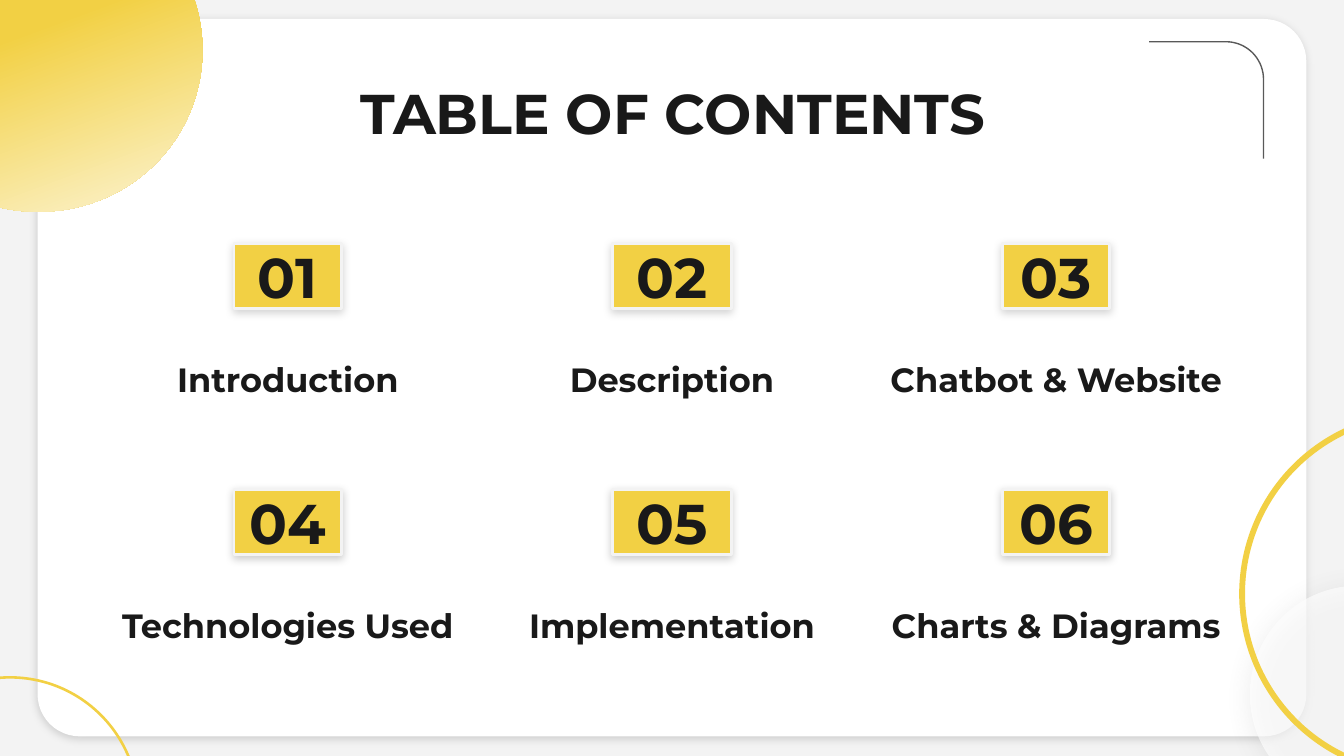
from dataclasses import dataclass
from math import cos, radians, sin

from lxml.etree import SubElement
from pptx import Presentation
from pptx.dml.color import RGBColor
from pptx.enum.shapes import MSO_SHAPE
from pptx.enum.text import MSO_ANCHOR, MSO_AUTO_SIZE, PP_ALIGN
from pptx.oxml.ns import qn
from pptx.util import Cm, Pt


@dataclass(frozen=True)
class Theme:
    font: str = "Montserrat"
    ink: RGBColor = RGBColor(0x19, 0x19, 0x19)
    yellow: RGBColor = RGBColor(0xF2, 0xD0, 0x44)
    white: RGBColor = RGBColor(0xFF, 0xFF, 0xFF)
    backdrop: RGBColor = RGBColor(0xF3, 0xF3, 0xF3)
    grey: RGBColor = RGBColor(0x59, 0x59, 0x59)
    black: RGBColor = RGBColor(0, 0, 0)
    heading: Pt = Pt(30)
    label: Pt = Pt(18)


THEME = Theme()
TOPICS = ["Introduction", "Description", "Chatbot & Website",
          "Technologies Used", "Implementation", "Charts & Diagrams"]
BADGE_WIDTHS = [2.03, 2.24, 2.03]


def box(x, y, w, h):
    return Cm(x), Cm(y), Cm(w), Cm(h)


def add_shape(s, kind, bounds, fill=None, adj=None):
    sp = s.shapes.add_shape(kind, *box(*bounds))
    sp.shadow.inherit = False
    sp.line.fill.background()
    if fill is not None:
        sp.fill.solid()
        sp.fill.fore_color.rgb = fill
    if adj is not None:
        sp.adjustments[0] = adj
    return sp


def set_alpha(color, percent):
    SubElement(color, qn("a:alpha"), val=str(percent * 1000))


def add_shadow(sp, color=THEME.black, alpha=17, blur=4.5, dist=1.5, angle=90):
    effects = sp.element.spPr.find(qn("a:effectLst"))
    shadow = SubElement(effects, qn("a:outerShdw"), blurRad=str(Pt(blur)),
                        dist=str(Pt(dist)), dir=str(angle * 60000),
                        algn="bl", rotWithShape="0")
    set_alpha(SubElement(shadow, qn("a:srgbClr"), val=str(color)), alpha)


def set_text(sp, text, size, anchor):
    tf = sp.text_frame
    tf.text = text
    tf.word_wrap = True
    tf.auto_size = MSO_AUTO_SIZE.NONE
    tf.vertical_anchor = anchor
    tf.margin_left = tf.margin_right = Cm(0.25)
    tf.margin_top = tf.margin_bottom = Cm(0.25)
    p = tf.paragraphs[0]
    p.alignment = PP_ALIGN.CENTER
    font = p.runs[0].font
    font.name, font.size, font.bold = THEME.font, size, True
    font.color.rgb = THEME.ink


def add_backdrop(s):
    s.background.fill.solid()
    s.background.fill.fore_color.rgb = THEME.backdrop
    card = add_shape(s, MSO_SHAPE.ROUNDED_RECTANGLE,
                     (0.71, 0.36, 23.98, 13.56), THEME.white, 0.059)
    add_shadow(card)
    disc = add_shape(s, MSO_SHAPE.OVAL, (23.62, 11.07, 4.11, 4.11), THEME.white)
    set_alpha(disc.element.spPr.find(".//" + qn("a:srgbClr")), 62)
    add_shadow(disc, THEME.grey, 19, 14.6, 2.2, 74)
    for x, y, size, ring in [(23.42, 7.77, 6.91, 0.016), (-2.26, 12.78, 4.9, 0.01)]:
        add_shape(s, MSO_SHAPE.DONUT, (x, y, size, size), THEME.yellow, ring)


def add_corner_line(s):
    left, top, right, bottom, radius = 21.72, 0.79, 23.88, 3, 0.71
    arc = [(right - radius + radius * cos(radians(a)),
            top + radius - radius * sin(radians(a))) for a in range(90, -1, -5)]
    builder = s.shapes.build_freeform(Cm(left), Cm(top))
    builder.add_line_segments([(Cm(x), Cm(y)) for x, y in arc + [(right, bottom)]],
                              close=False)
    sp = builder.convert_to_shape()
    sp.shadow.inherit = False
    sp.fill.background()
    sp.line.color.rgb = THEME.grey
    sp.line.width = Pt(0.75)


def add_title(s, text):
    sp = s.shapes.title
    s.shapes.element.append(sp.element)
    sp.left, sp.top, sp.width, sp.height = box(2.01, 1.24, 21.41, 1.6)
    set_text(sp, text, THEME.heading, MSO_ANCHOR.TOP)


def add_topic(s, index, topic):
    row, col = divmod(index, 3)
    center, top = 5.44 + 7.26 * col, 4.6 + 4.65 * row
    width = BADGE_WIDTHS[col]
    badge = add_shape(s, MSO_SHAPE.RECTANGLE,
                      (center - width / 2, top, width, 1.24), THEME.yellow)
    badge.line.color.rgb = THEME.backdrop
    badge.line.width = Pt(1.5)
    add_shadow(badge, alpha=17 + 3 * row)
    set_text(badge, f"{index + 1:02}", THEME.heading, MSO_ANCHOR.MIDDLE)
    label = s.shapes.add_textbox(*box(center - 3.46, top + 1.31, 6.92, 1.88))
    set_text(label, topic, THEME.label, MSO_ANCHOR.BOTTOM)


def add_gradient_disc(s):
    sp = add_shape(s, MSO_SHAPE.OVAL, (-2.51, -2.21, 6.35, 6.2))
    sp.rotation = 204.8
    sp.fill.gradient()
    sp.fill.gradient_angle = 135
    stops = zip(sp.fill.gradient_stops, [(0.47, THEME.yellow), (1, THEME.white)])
    for stop, (position, color) in stops:
        stop.position = position
        stop.color.rgb = color


def main():
    prs = Presentation()
    prs.slide_width, prs.slide_height = Cm(25.4), Cm(14.29)
    s = prs.slides.add_slide(prs.slide_layouts[5])
    add_backdrop(s)
    add_corner_line(s)
    add_title(s, "TABLE OF CONTENTS")
    for index, topic in enumerate(TOPICS):
        add_topic(s, index, topic)
    add_gradient_disc(s)
    prs.save("out.pptx")


if __name__ == "__main__":
    main()
